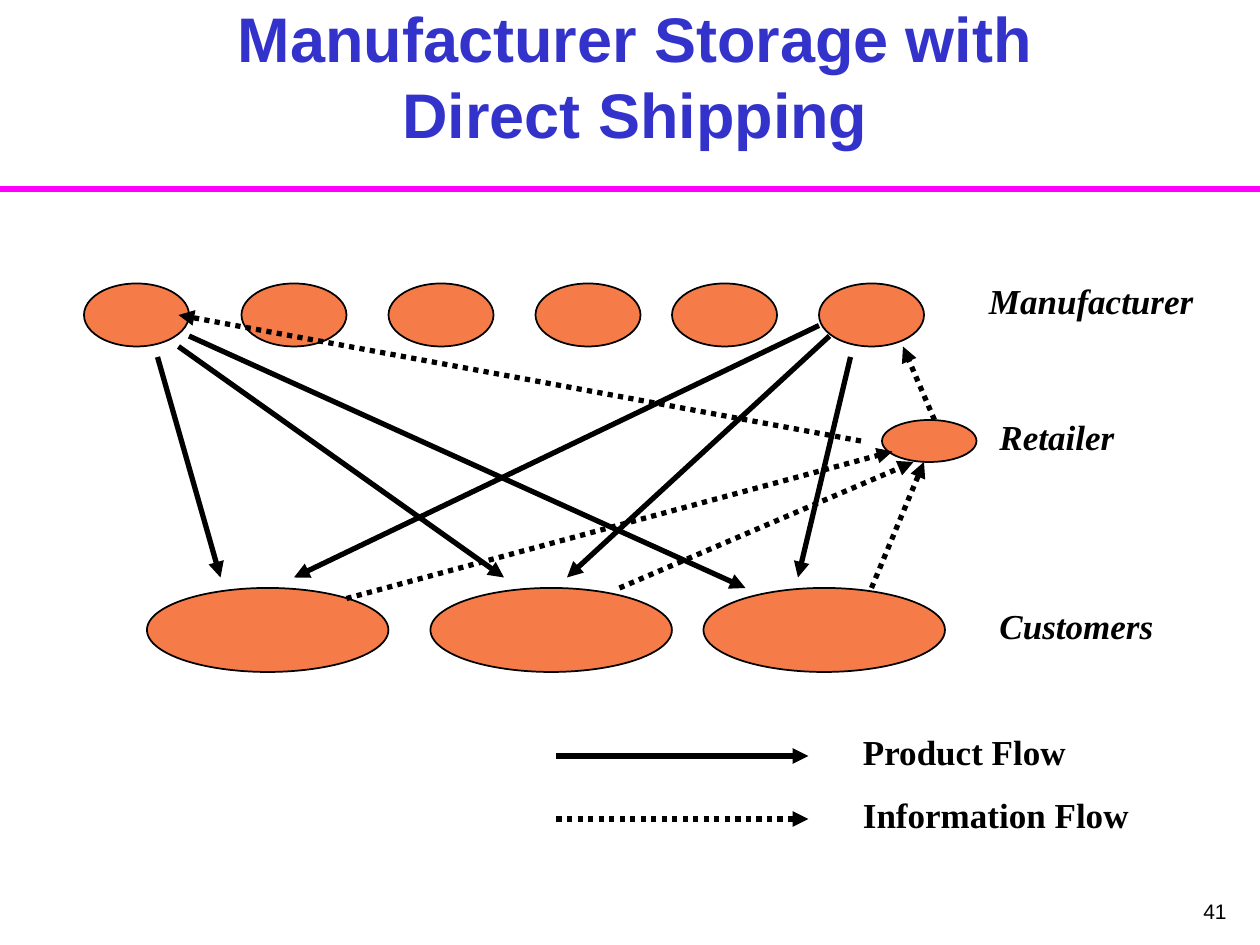
from dataclasses import dataclass
from typing import NamedTuple

from lxml import etree
from pptx import Presentation
from pptx.dml.color import RGBColor
from pptx.enum.dml import MSO_LINE
from pptx.enum.shapes import MSO_CONNECTOR, MSO_SHAPE
from pptx.enum.text import MSO_ANCHOR, MSO_AUTO_SIZE, PP_ALIGN
from pptx.oxml.ns import qn
from pptx.util import Emu, Pt

ELLIPSE = MSO_SHAPE.OVAL
STRAIGHT = MSO_CONNECTOR.STRAIGHT
DOTTED = MSO_LINE.ROUND_DOT  # written to the file as sysDot
LEFT, CENTER, RIGHT = PP_ALIGN.LEFT, PP_ALIGN.CENTER, PP_ALIGN.RIGHT
BOTTOM = MSO_ANCHOR.BOTTOM
NO_AUTOFIT = MSO_AUTO_SIZE.NONE
TITLE_ONLY = 5


def px(length: int) -> Emu:
    """Scale px to EMU, at 96 px to the inch."""
    return Emu(length * 9525)


@dataclass(frozen=True)
class Theme:
    heading: RGBColor = RGBColor(0x33, 0x33, 0xCC)
    rule: RGBColor = RGBColor(0xFF, 0x00, 0xFF)
    node: RGBColor = RGBColor(0xF5, 0x7B, 0x49)
    ink: RGBColor = RGBColor(0x00, 0x00, 0x00)
    sans: str = "Arial"
    serif: str = "Times New Roman"
    title_size: int = 36
    label_size: int = 20
    number_size: int = 12
    rule_width: int = 4
    flow_width: int = 3
    outline_width: int = 1


THEME = Theme()


class Tier(NamedTuple):
    """A row of equal ellipses."""
    lefts: tuple[int, ...]
    top: int
    width: int
    height: int


class Flow(NamedTuple):
    start: tuple[int, int]
    end: tuple[int, int]
    dotted: bool = False


class Label(NamedTuple):
    text: str
    left: int
    top: int
    width: int = 176
    italic: bool = True


TIERS = (
    Tier((64, 184, 296, 408, 512, 624), 216, 80, 48),  # manufacturers
    Tier((672,), 320, 72, 32),  # retailer
    Tier((112, 328, 536), 448, 184, 64),  # customers
)

PRODUCT_FLOWS = (
    Flow((120, 272), (168, 440)),
    Flow((136, 264), (384, 440)),
    Flow((144, 256), (568, 448)),
    Flow((648, 272), (608, 440)),
    Flow((632, 256), (432, 440)),
    Flow((624, 248), (224, 440)),
)

INFORMATION_FLOWS = (
    Flow((264, 456), (680, 344), True),
    Flow((472, 448), (696, 352), True),
    Flow((664, 448), (704, 352), True),
    Flow((712, 320), (688, 264), True),
    Flow((656, 336), (136, 240), True),
)

LEGEND_FLOWS = (
    Flow((424, 576), (616, 576)),
    Flow((424, 624), (616, 624), True),
)

LABELS = (
    Label("Manufacturer", 744, 208),
    Label("Retailer", 752, 312),
    Label("Customers", 752, 456),
    Label("Product Flow", 648, 552, italic=False),
    Label("Information Flow", 648, 600, width=224, italic=False),
)


def style_paragraph(para, font_name: str, size: int, color: RGBColor,
                    align: PP_ALIGN, bold: bool = False,
                    italic: bool = False) -> None:
    para.alignment = align
    font = para.font
    font.name, font.size = font_name, Pt(size)
    font.bold, font.italic = bold, italic
    font.color.rgb = color


def add_line(page, start: tuple[int, int], end: tuple[int, int],
             color: RGBColor, width: int):
    connector = page.shapes.add_connector(
        STRAIGHT, *(px(value) for value in start + end))
    connector.line.color.rgb = color
    connector.line.width = Pt(width)
    etree.SubElement(connector._element.spPr, qn("a:effectLst"))
    return connector


def add_flow(page, flow: Flow) -> None:
    line = add_line(page, flow.start, flow.end, THEME.ink, THEME.flow_width).line
    if flow.dotted:
        line.dash_style = DOTTED
    etree.SubElement(line._get_or_add_ln(), qn("a:tailEnd"), type="triangle")


def add_tier(page, tier: Tier) -> None:
    for left in tier.lefts:
        node = page.shapes.add_shape(
            ELLIPSE, px(left), px(tier.top), px(tier.width), px(tier.height))
        node.shadow.inherit = False
        node.fill.solid()
        node.fill.fore_color.rgb = THEME.node
        node.line.color.rgb = THEME.ink
        node.line.width = Pt(THEME.outline_width)


def add_text(page, text: str, left: int, top: int, width: int, height: int):
    """Add a wrapping text box and return its paragraph."""
    box = page.shapes.add_textbox(px(left), px(top), px(width), px(height))
    box.text_frame.word_wrap = True
    para = box.text_frame.paragraphs[0]
    para.text = text
    return para


def add_label(page, label: Label) -> None:
    para = add_text(page, label.text, label.left, label.top, label.width, 41)
    style_paragraph(para, THEME.serif, THEME.label_size, THEME.ink, LEFT,
                    bold=True, italic=label.italic)


def set_title(page, text: str) -> None:
    title = page.shapes.title
    title.left, title.top, title.width, title.height = map(px, (40, 28, 888, 92))
    frame = title.text_frame
    frame.auto_size = NO_AUTOFIT
    frame.vertical_anchor = BOTTOM
    frame.text = text
    style_paragraph(frame.paragraphs[0], THEME.sans, THEME.title_size,
                    THEME.heading, CENTER, bold=True)


def main() -> None:
    deck = Presentation()
    deck.slide_width, deck.slide_height = px(960), px(720)
    page = deck.slides.add_slide(deck.slide_layouts[TITLE_ONLY])

    set_title(page, "Manufacturer Storage with\vDirect Shipping")
    add_line(page, (0, 144), (960, 144), THEME.rule, THEME.rule_width)
    for tier in TIERS:
        add_tier(page, tier)
    for flow in PRODUCT_FLOWS + INFORMATION_FLOWS + LEGEND_FLOWS:
        add_flow(page, flow)
    for label in LABELS:
        add_label(page, label)

    number = add_text(page, "41", 744, 680, 200, 40)
    style_paragraph(number, THEME.sans, THEME.number_size, THEME.ink, RIGHT)

    deck.save("out.pptx")


if __name__ == "__main__":
    main()
